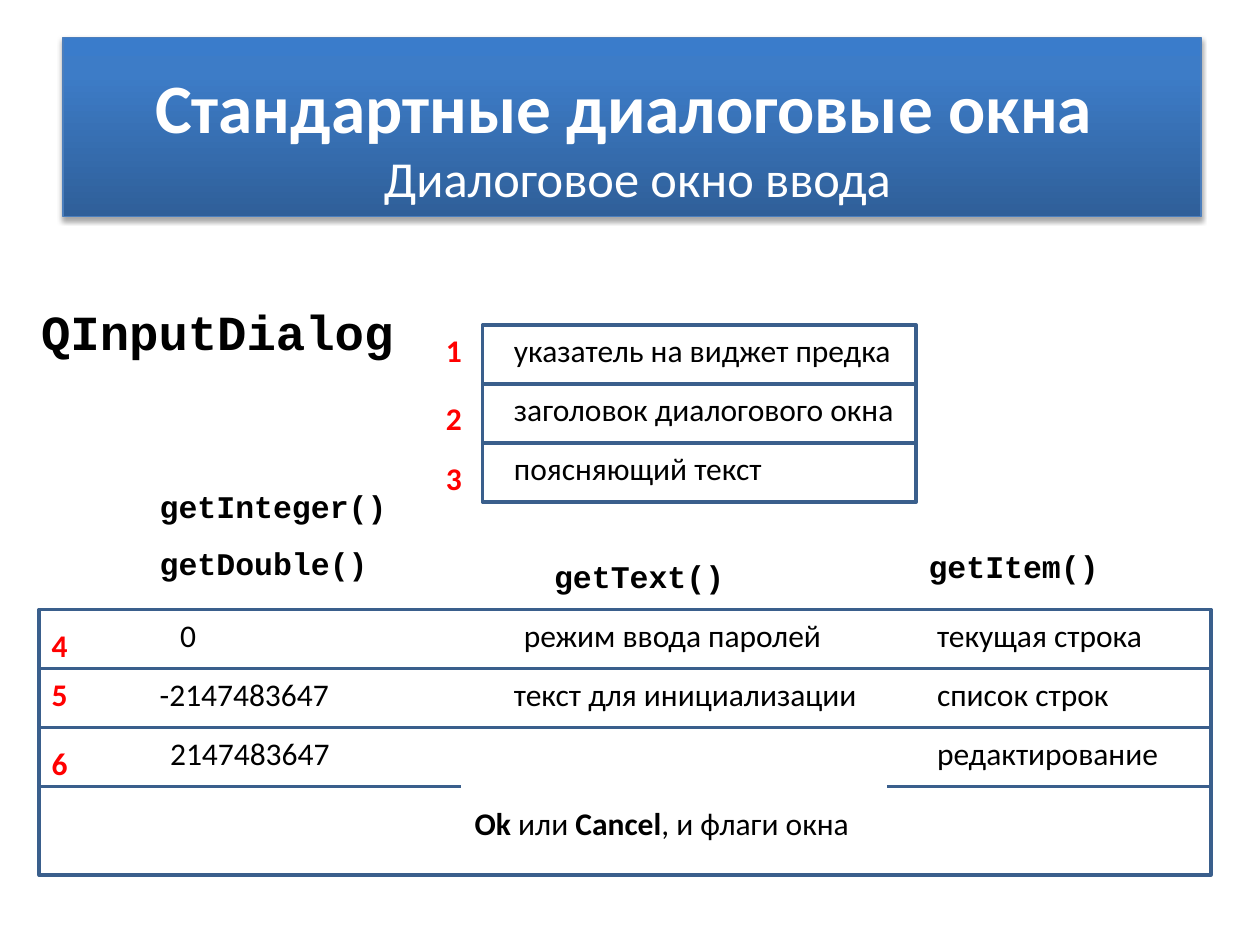
from lxml import etree
from pptx import Presentation
from pptx.dml.color import RGBColor as Rgb
from pptx.enum.shapes import MSO_SHAPE as Kind
from pptx.enum.text import MSO_ANCHOR as Anchor, MSO_AUTO_SIZE as Fit, PP_ALIGN as Align
from pptx.util import Cm, Pt

HUES = {"ink": "000000", "mark": "FF0000", "white": "FFFFFF", "edge": "3A5F8C",
        "rim": "4B7EBC", "low": "2F5F99", "mid": "3D7CC7", "high": "3A7CCB"}
SANS, MONO = "Calibri", "Courier New"
NS = "http://schemas.openxmlformats.org/drawingml/2006/main"
ROW = 1.19


class Page:
    def __init__(self, deck):
        self.slide = deck.slides.add_slide(deck.slide_layouts[6])

    def hue(self, name):
        return Rgb.from_string(HUES[name])

    def run(self, par, text, size=18, font=SANS, hue="ink", bold=False):
        run = par.add_run()
        run.text = text
        face = run.font
        face.size, face.name, face.bold = Pt(size), font, bold
        face.color.rgb = self.hue(hue)

    def text(self, x, y, w, lines, h=1.02, gap=None, wrap=False, **look):
        box = self.slide.shapes.add_textbox(Cm(x), Cm(y), Cm(w), Cm(h))
        frame = box.text_frame
        frame.word_wrap = wrap
        frame.auto_size = Fit.SHAPE_TO_FIT_TEXT
        for i, line in enumerate(lines):
            par = frame.add_paragraph() if i else frame.paragraphs[0]
            par.line_spacing = gap
            for text, bold in line:
                self.run(par, text, bold=bold, **look)

    def label(self, x, y, w, text, bold=False, **look):
        self.text(x, y, w, [[(text, bold)]], **look)

    def code(self, x, y, w, h, names, **look):
        self.text(x, y, w, [[(name, True)] for name in names], h=h, gap=1.5, font=MONO, **look)

    def box(self, x, y, w, h, kind=Kind.FLOWCHART_PROCESS, line="edge", fill=None, width=2):
        box = self.slide.shapes.add_shape(kind, Cm(x), Cm(y), Cm(w), Cm(h))
        box.shadow.inherit = False
        if fill:
            box.fill.solid()
            box.fill.fore_color.rgb = self.hue(fill)
        else:
            box.fill.background()
        box.line.color.rgb = self.hue(line)
        box.line.width = Pt(width)
        return box

    def shade(self, box, stops):
        tag = f"{{{NS}}}"
        props = box._element.spPr
        props.remove(props.find(tag + "noFill"))
        grad = etree.Element(tag + "gradFill", rotWithShape="1")
        group = etree.SubElement(grad, tag + "gsLst")
        for pos, name in stops:
            stop = etree.SubElement(group, tag + "gs", pos=str(pos * 1000))
            etree.SubElement(stop, tag + "srgbClr", val=HUES[name])
        etree.SubElement(grad, tag + "lin", ang="16200000", scaled="0")
        props.find(tag + "ln").addprevious(grad)
        drop = etree.SubElement(props.find(tag + "effectLst"), tag + "outerShdw",
                                blurRad=str(Pt(3.1)), dist=str(Pt(1.8)),
                                dir="5400000", rotWithShape="0")
        tint = etree.SubElement(drop, tag + "srgbClr", val=HUES["ink"])
        etree.SubElement(tint, tag + "alpha", val="35000")

    def title(self, head, sub):
        box = self.box(1.27, 0.76, 22.94, 3.61, Kind.RECTANGLE, "rim", width=0.75)
        self.shade(box, [(0, "low"), (80, "mid"), (100, "high")])
        frame = box.text_frame
        frame.word_wrap = True
        frame.vertical_anchor = Anchor.MIDDLE
        frame.margin_top, frame.margin_bottom = Cm(0.48), Cm(0.13)
        par = frame.paragraphs[0]
        par.alignment = Align.CENTER
        self.run(par, head, 39.6, hue="white", bold=True)
        par.add_line_break()
        self.run(par, sub, 28.8, hue="white")


def main():
    deck = Presentation()
    deck.slide_width, deck.slide_height = Cm(25.4), Cm(19.05)
    page = Page(deck)
    page.title("Стандартные диалоговые окна ", " Диалоговое окно ввода")
    page.code(0.58, 5.36, 8.33, 3.58, ["QInputDialog"], size=28, wrap=True)

    top, low = 6.55, 12.29
    args = [("указатель на виджет предка", 8.2), ("заголовок диалогового окна", 8.26),
            ("поясняющий текст", 5.56)]
    for i, (text, w) in enumerate(args):
        page.label(10.11, top + i * ROW, w, text)

    cells = [
        [(3.38, 0.84, "0"), (10.31, 6.58, "режим ввода паролей"),
         (18.64, 4.7, "текущая строка")],
        [(2.97, 3.96, "-2147483647"), (10.11, 7.65, "текст для инициализации"),
         (18.64, 4.17, "список строк")],
        [(3.18, 3.76, "2147483647"), (18.64, 5.03, "редактирование")],
    ]
    for i, row in enumerate(cells):
        for x, w, text in row:
            page.label(x, low + i * ROW, w, text)

    page.text(9.32, 16.08, 8.13, [[("Ok", True), (" или ", False), ("Cancel", True),
                                   (", и флаги окна", False)]])
    page.code(10.92, 10.72, 4.34, 1.42, ["getText()"])
    page.code(18.47, 10.52, 4.34, 1.42, ["getItem()"])
    page.code(2.97, 9.32, 5.16, 2.57, ["getInteger()", "getDouble()"], wrap=True)

    page.box(0.79, low + 3 * ROW, 23.62, 1.78)
    for x, y, w in [(0.79, low, 23.62), (9.73, top, 8.74)]:
        for i in range(3):
            page.box(x, y + i * ROW, w, ROW)

    marks = [(8.74, 6.55), (8.74, 7.92), (8.74, 9.12), (0.79, 12.5), (0.79, 13.49), (0.79, 14.88)]
    for i, (x, y) in enumerate(marks, 1):
        page.label(x, y, 0.84, str(i), bold=True, hue="mark")
    page.box(9.32, 15.29, 8.53, 0.99, Kind.RECTANGLE, "white", "white")
    deck.save("out.pptx")


if __name__ == "__main__":
    main()
